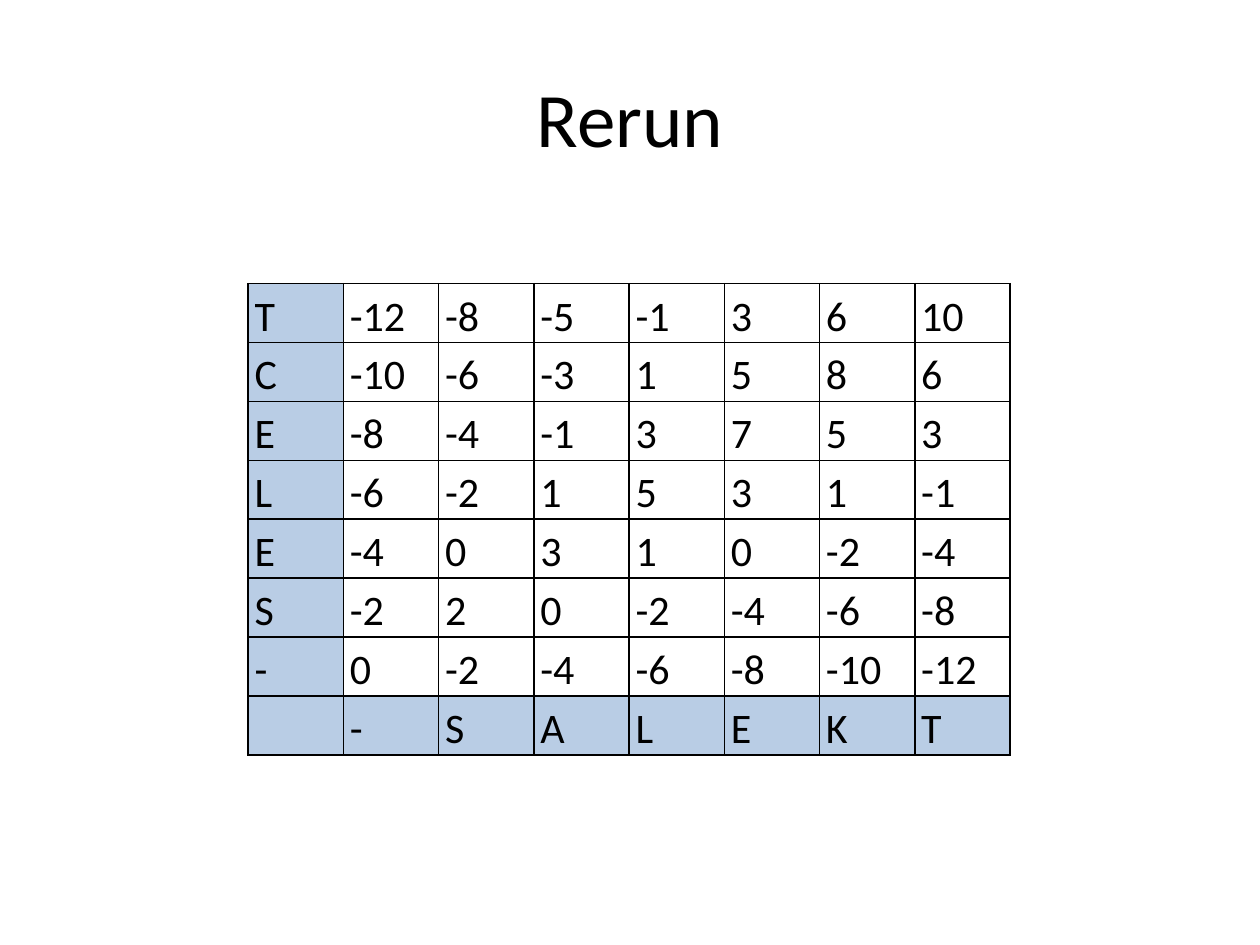
from pptx import Presentation
from pptx.dml.color import RGBColor
from pptx.enum.text import MSO_ANCHOR, PP_ALIGN
from pptx.oxml import parse_xml
from pptx.oxml.ns import nsdecls
from pptx.util import Inches, Pt

BLACK = RGBColor(0x00, 0x00, 0x00)
WHITE = RGBColor(0xFF, 0xFF, 0xFF)
BLUE = RGBColor(0xB9, 0xCD, 0xE5)
FONT = "Calibri"

TITLE = "Rerun"
SCORES = [
    ("T", -12, -8, -5, -1, 3, 6, 10),
    ("C", -10, -6, -3, 1, 5, 8, 6),
    ("E", -8, -4, -1, 3, 7, 5, 3),
    ("L", -6, -2, 1, 5, 3, 1, -1),
    ("E", -4, 0, 3, 1, 0, -2, -4),
    ("S", -2, 2, 0, -2, -4, -6, -8),
    ("-", 0, -2, -4, -6, -8, -10, -12),
    ("", "-", "S", "A", "L", "E", "K", "T"),
]
LEFT, TOP, WIDTH, HEIGHT = 1.97, 2.25, 6.05, 3.71


def write(p, text, size):
    p.text = text
    p.font.name = FONT
    p.font.size = Pt(size)
    p.font.color.rgb = BLACK


def add_borders(cell):
    tcPr = cell._tc.get_or_add_tcPr()
    for i, side in enumerate(("lnL", "lnR", "lnT", "lnB")):
        tcPr.insert(i, parse_xml(
            f'<a:{side} {nsdecls("a")} w="{Pt(1)}"><a:solidFill>'
            f'<a:srgbClr val="{BLACK}"/></a:solidFill></a:{side}>'))


def format_cell(cell, value, is_label):
    cell.margin_left = cell.margin_right = Inches(0.05)
    cell.margin_top = cell.margin_bottom = 0
    cell.fill.solid()
    cell.fill.fore_color.rgb = BLUE if is_label else WHITE
    p = cell.text_frame.paragraphs[0]
    write(p, str(value), 24)
    p.line_spacing = 1.15
    add_borders(cell)


def main():
    prs = Presentation()
    prs.slide_width, prs.slide_height = Inches(10), Inches(7.5)
    s = prs.slides.add_slide(prs.slide_layouts[5])

    title = s.shapes.title
    title.left, title.top = Inches(0.5), Inches(0.3)
    title.width, title.height = Inches(9), Inches(1.25)
    tf = title.text_frame
    tf.vertical_anchor = MSO_ANCHOR.MIDDLE
    write(tf.paragraphs[0], TITLE, 44)
    tf.paragraphs[0].alignment = PP_ALIGN.CENTER

    rows, cols = len(SCORES), len(SCORES[0])
    table = s.shapes.add_table(rows, cols, Inches(LEFT), Inches(TOP),
                               Inches(WIDTH), Inches(HEIGHT)).table
    table.first_row = table.horz_banding = False
    for r, values in enumerate(SCORES):
        for c, value in enumerate(values):
            format_cell(table.cell(r, c), value, c == 0 or r == rows - 1)

    prs.save("out.pptx")


if __name__ == "__main__":
    main()
